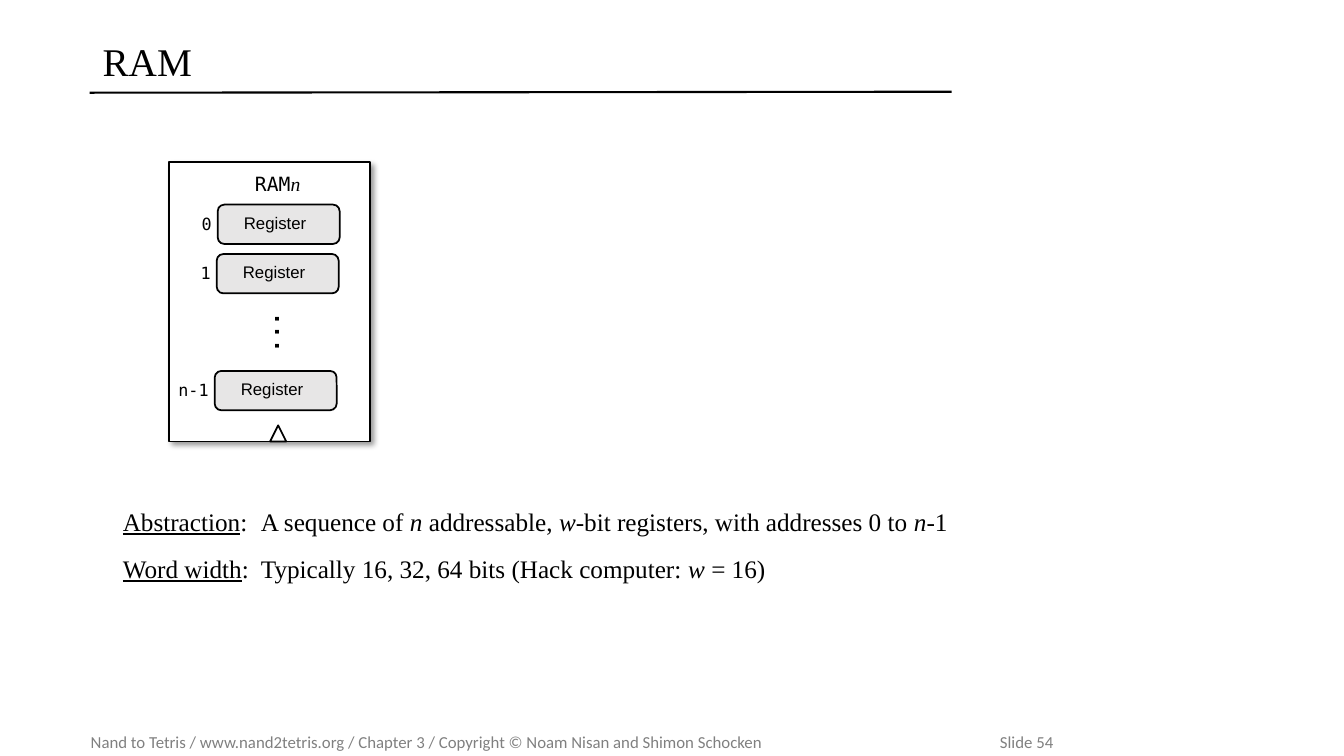
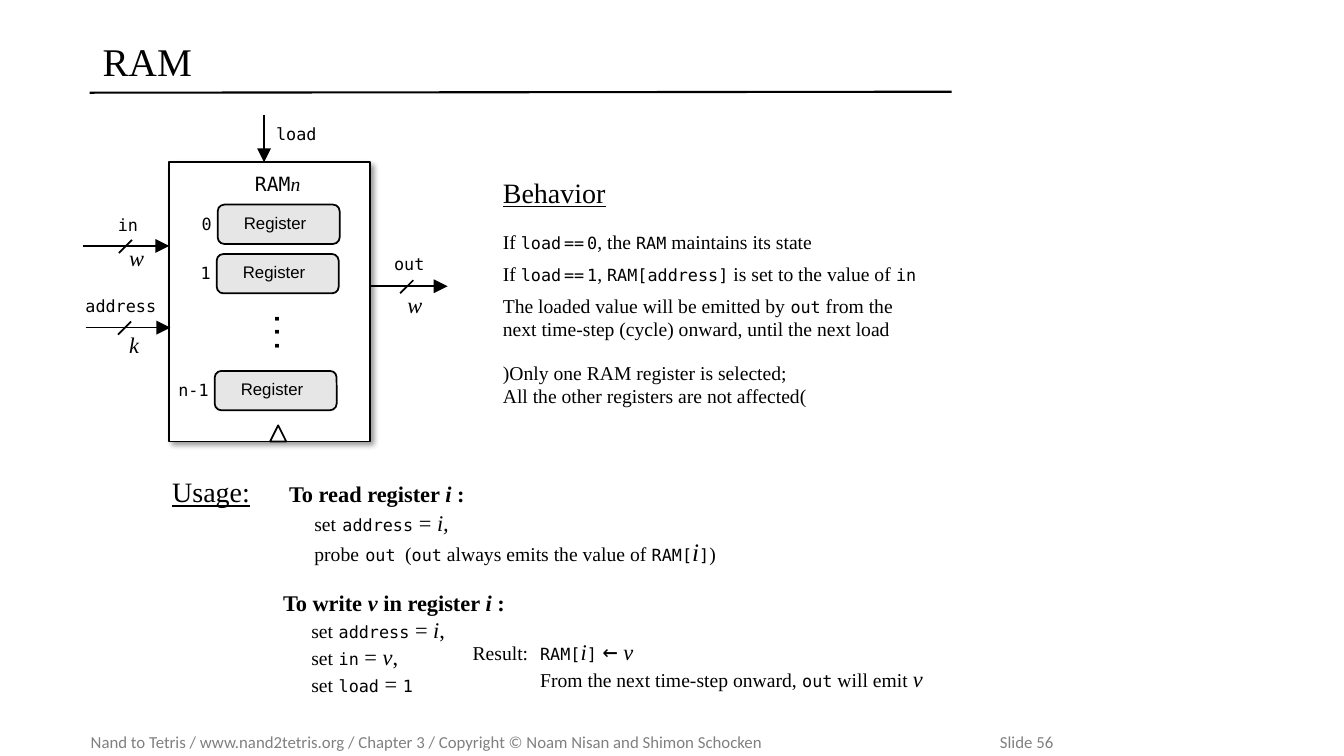
from dataclasses import dataclass, replace
from typing import NamedTuple

from lxml import etree
from pptx import Presentation
from pptx.dml.color import RGBColor
from pptx.enum.shapes import MSO_CONNECTOR, MSO_SHAPE
from pptx.enum.text import MSO_ANCHOR, PP_ALIGN
from pptx.oxml.ns import qn
from pptx.util import Emu, Inches, Pt

LINE = MSO_CONNECTOR.STRAIGHT
RECT, ROUND = MSO_SHAPE.RECTANGLE, MSO_SHAPE.ROUNDED_RECTANGLE
WEDGE = MSO_SHAPE.ISOSCELES_TRIANGLE
TOP, MID = MSO_ANCHOR.TOP, MSO_ANCHOR.MIDDLE
LEFT, RIGHT = PP_ALIGN.LEFT, PP_ALIGN.RIGHT

# Grid: one cell is a tenth of an inch
CELL = Inches(0.1)
COLS, ROWS = 133.33, 75
INK, PAPER, GREY, CHIP = "000000", "FFFFFF", "808080", "E7E6E6"
THIN = 1.25


@dataclass(frozen=True)
class Style:
    size: float
    font: str = "Times New Roman"
    bold: bool = False
    italic: bool = False
    under: bool = False
    color: str = INK


class Para(NamedTuple):
    runs: list[tuple[str, Style]]
    before: float = 0
    indent: float = 0
    tab: float = 0
    line: float = 1


class Box(NamedTuple):
    x: float
    y: float
    w: float
    h: float


class Chip(NamedTuple):
    x: float
    y: float
    index: str


class Wire(NamedTuple):
    start: tuple[float, float]
    end: tuple[float, float]
    name: str
    label: Box
    width: str = ""
    mark: tuple[float, float] = (0, 0)
    note: tuple[float, float] = (0, 0)
    align: PP_ALIGN = LEFT


# Text styles
BODY, LEAD, BIG, HEAD = Style(14), Style(16), Style(18), Style(28)
SLIM = Style(8)
VAR, BIGVAR = replace(LEAD, italic=True), replace(BIG, italic=True)
BOLD = replace(LEAD, bold=True)
BOLDVAR = replace(BOLD, italic=True)
TERM = replace(BIG, under=True)
TOPIC = Style(20, under=True)
CODE = Style(12, "DejaVu Sans Mono")
NAME, DOTS = replace(CODE, size=14), replace(CODE, size=16, bold=True)
ARROW = replace(CODE, size=18)
SANS = Style(12, "Arial")
FOOT = Style(12, "Calibri", color=GREY)

PAD, BARE = (1, 0.5, 1, 0.5), (0, 0, 0, 0)

# The memory chip and its wires
FRAME = Box(16.8, 16.1, 19.9, 27.7)
CHIPS = [Chip(21.6, 20.3, "0"), Chip(21.5, 25.2, "1"), Chip(21.3, 36.8, "n-1")]
WIRES = [
    Wire((26.2, 11.4), (26.2, 16.1), "load", Box(27.4, 12.3, 6.3, 2)),
    Wire((8.2, 24.4), (16.8, 24.4), "in", Box(11.7, 21.3, 4, 2),
         "w", (11.8, 25.1), (12.8, 24.2)),
    Wire((8.5, 32.5), (16.9, 32.5), "address", Box(7.1, 29.3, 8.4, 2),
         "k", (11.7, 33.2), (12.8, 32.9), RIGHT),
    Wire((36.8, 28.4), (44.4, 28.4), "out", Box(39.1, 25.2, 3.9, 2),
         "w", (39.7, 29.1), (40.4, 28.9)),
]


def at(cells: float) -> Emu:
    return Emu(round(cells * CELL))


def rgb(code: str) -> RGBColor:
    return RGBColor.from_string(code)


def sub(parent, tag: str, **attrs):
    node = etree.SubElement(parent, qn(tag))
    for key, value in attrs.items():
        node.set(key, str(value))
    return node


def fill_para(para, data: Para, align: PP_ALIGN) -> None:
    para.alignment = align
    para.line_spacing = data.line
    para.space_before = Pt(data.before)
    props = para._p.get_or_add_pPr()
    if data.indent:
        props.set("marL", str(at(data.indent)))
        props.set("indent", "0")
    if data.tab:
        sub(sub(props, "a:tabLst"), "a:tab", pos=at(data.tab), algn="l")
    for text, style in data.runs:
        for row, part in enumerate(text.split("\n")):
            if row:
                para.add_line_break()
            run = para.add_run()
            run.text = part
            font = run.font
            font.name, font.size = style.font, Pt(style.size)
            font.bold, font.italic = style.bold, style.italic
            font.underline = style.under
            font.color.rgb = rgb(style.color)


def write(shape, paras: list[Para], pad=PAD, anchor=TOP, align=LEFT) -> None:
    frame = shape.text_frame
    frame.word_wrap = True
    frame.vertical_anchor = anchor
    frame.margin_left, frame.margin_top, frame.margin_right, frame.margin_bottom = map(at, pad)
    for num, data in enumerate(paras):
        fill_para(frame.add_paragraph() if num else frame.paragraphs[0], data, align)


def add_text(slide, box: Box, paras: list[Para], pad=PAD, anchor=TOP, align=LEFT):
    shape = slide.shapes.add_textbox(*map(at, box))
    write(shape, paras, pad, anchor, align)
    return shape


def add_label(slide, box: Box, text: str, style: Style = CODE, align=LEFT):
    return add_text(slide, box, [Para([(text, style)])], BARE, align=align)


def add_block(slide, kind, box: Box, fill: str):
    shape = slide.shapes.add_shape(kind, *map(at, box))
    shape.shadow.inherit = False
    shape.fill.solid()
    shape.fill.fore_color.rgb = rgb(fill)
    shape.line.color.rgb = rgb(INK)
    shape.line.width = Pt(THIN)
    return shape


def add_line(slide, start, end, width: float = THIN, head: bool = False) -> None:
    line = slide.shapes.add_connector(LINE, *map(at, (*start, *end)))
    line.line.color.rgb = rgb(INK)
    line.line.width = Pt(width)
    props = line._element.spPr
    if head:
        sub(props.find(qn("a:ln")), "a:tailEnd", type="triangle", w="lg", len="lg")
    sub(props, "a:effectLst")


def add_base(deck, number: int):
    """Blank slide with title, rule and footer."""
    slide = deck.slides.add_slide(deck.slide_layouts[6])
    credit = ("Nand to Tetris / www.nand2tetris.org / Chapter 3 / "
              "Copyright © Noam Nisan and Shimon Schocken")
    add_text(slide, Box(9, 72.1, 122.5, 3),
             [Para([(f"{credit}\tSlide {number}", FOOT)], tab=90.2)],
             (0, 0.5, 0, 0.5), MID)
    add_line(slide, (8.9, 9.2), (94.4, 9.1), 1.5)
    add_text(slide, Box(9.2, 3.2, 85.3, 6.3), [Para([("RAM", HEAD)], line=0.9)], anchor=MID)
    return slide


def add_ram(slide) -> None:
    frame = add_block(slide, RECT, FRAME, PAPER)
    glow = sub(frame._element.spPr.find(qn("a:effectLst")), "a:outerShdw",
               blurRad=Pt(4), dist=Pt(3), dir=45 * 60000, algn="tl", rotWithShape=0)
    sub(sub(glow, "a:srgbClr", val=INK), "a:alpha", val=40000)
    add_block(slide, WEDGE, Box(26.8, 42.2, 1.6, 1.6), PAPER)
    for chip in CHIPS:
        block = add_block(slide, ROUND, Box(chip.x, chip.y, 12.1, 3.9), CHIP)
        write(block, [Para([("Register", SANS)])], (2.4, 0, 0, 0.3), MID)
        add_label(slide, Box(chip.x - 4.5, chip.y + 0.9, 3.9, 2), chip.index, align=RIGHT)
    add_label(slide, Box(24.3, 33.5, 7.7, 2.7), "...", DOTS).rotation = 90
    add_text(slide, Box(25.3, 17.1, 6, 2.4),
             [Para([("RAM", NAME), ("n", replace(BODY, italic=True))])], BARE)


def add_wire(slide, wire: Wire) -> None:
    add_line(slide, wire.start, wire.end, head=True)
    add_label(slide, wire.label, wire.name, align=wire.align)
    if wire.width:
        x, y = wire.mark
        add_line(slide, wire.mark, (x + 1.3, y - 1.3))
        add_label(slide, Box(*wire.note, 2.9, 2.7), wire.width, VAR)


def test(value: str) -> list[tuple[str, Style]]:
    return [("If ", BODY), ("load", CODE), (" ", SLIM), ("==", CODE),
            (" ", SLIM), (value, CODE)]


def step(pin: str, value: list[tuple[str, Style]], gap: Style, indent: float) -> Para:
    return Para([("set", BODY), (" ", gap), (pin, CODE), (" = ", LEAD), *value],
                indent=indent)


def add_intro(deck) -> None:
    slide = add_base(deck, 54)
    add_text(slide, Box(11.2, 49.7, 86.4, 16), [
        Para([("Abstraction", TERM), (":\tA sequence of ", BIG), ("n", BIGVAR),
              (" addressable, ", BIG), ("w", BIGVAR),
              ("-bit registers, with addresses 0 to ", BIG), ("n", BIGVAR), ("-1", BIG)],
             tab=13.7),
        Para([("Word width", TERM), (":\tTypically 16, 32, 64 bits (Hack computer: ", BIG),
              ("w", BIGVAR), (" = 16)", BIG)], before=12, tab=13.7),
    ])
    add_ram(slide)


def add_usage(deck) -> None:
    slide = add_base(deck, 56)
    add_ram(slide)
    for wire in WIRES:
        add_wire(slide, wire)

    # Behavior
    add_text(slide, Box(48.9, 16.9, 12.3, 4.4), [Para([("Behavior", TOPIC)])])
    add_text(slide, Box(48.9, 22.3, 48.9, 12.1), [
        Para([*test("0"), (", the ", BODY), ("RAM", CODE), (" maintains its state", BODY)]),
        Para([*test("1"), (", ", BODY), ("RAM[address]", CODE),
              (" is set to the value of ", BODY), ("in", CODE)], before=6),
        Para([("The loaded value will be emitted by ", BODY), ("out", CODE),
              (" from the\nnext time-step (cycle) onward, until the next load", BODY)],
             before=6),
    ])
    add_text(slide, Box(48.9, 35.3, 65.8, 6.2), [
        Para([(")Only one RAM register is selected;\n"
               "All the other registers are not affected(", BODY)])])

    # Usage: read
    add_text(slide, Box(16.1, 46.6, 12.3, 4.4), [Para([("Usage:", TOPIC)])])
    add_text(slide, Box(27.7, 47.1, 21.2, 14), [
        Para([("To read register ", BOLD), ("i ", BOLDVAR), (":", BOLD)]),
        step("address", [("i,", VAR)], BIG, 2.5),
        Para([("probe", BODY), (" ", BIG), ("out", CODE)], indent=2.5),
    ])
    add_text(slide, Box(38.2, 51, 37.4, 7.5), [
        Para([("(", BODY), ("out", CODE), (" always emits the value of ", BODY),
              ("RAM[", CODE), ("i", BIGVAR), ("]", CODE), (")", BODY)])],
        (2, 0.5, 1, 0.5), MID)

    # Usage: write
    add_text(slide, Box(27.1, 58, 24.7, 11.8), [
        Para([("To write ", BOLD), ("v", BOLDVAR), (" in register ", BOLD),
              ("i", BOLDVAR), (" :", BOLD)]),
        step("address", [("i", VAR), (",", LEAD)], LEAD, 2.8),
        step("in", [("v", VAR), (",", LEAD)], LEAD, 2.8),
        step("load", [("1", CODE)], LEAD, 2.8),
    ])
    add_text(slide, Box(45.9, 62.5, 50.1, 6.7), [
        Para([("Result:\t", BODY), ("RAM[", CODE), ("i", VAR), ("]", CODE), (" ", LEAD),
              ("←", ARROW), (" ", LEAD), ("v", VAR)], tab=6.7),
        Para([("From the next time-step onward, ", BODY), ("out", CODE),
              (" will emit ", BODY), ("v", VAR)], indent=6.7),
    ])


def main() -> None:
    deck = Presentation()
    deck.slide_width, deck.slide_height = at(COLS), at(ROWS)
    add_intro(deck)
    add_usage(deck)
    deck.save("out.pptx")


if __name__ == "__main__":
    main()
